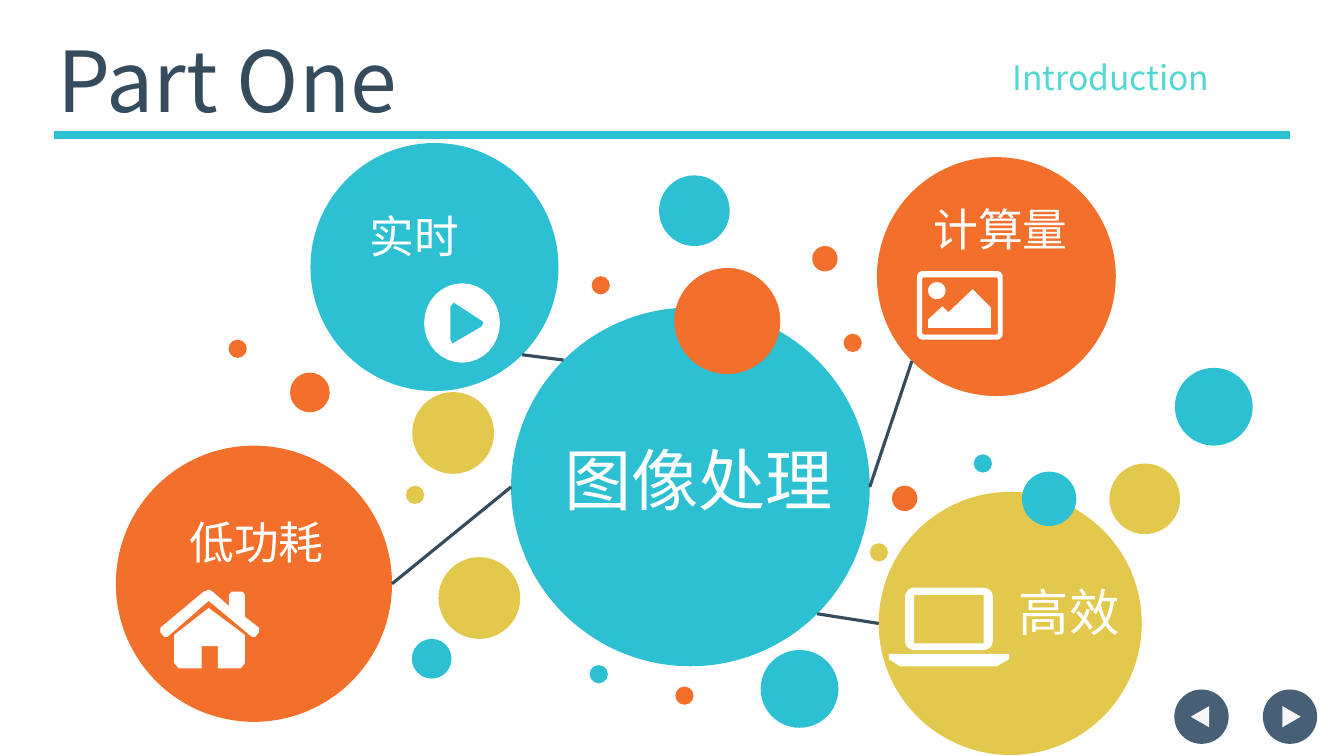
"""Build the Part One introduction slide: a hub of bubbles on image processing."""
from dataclasses import dataclass
from math import cos, pi, radians, sin

from lxml import etree
from pptx import Presentation
from pptx.dml.color import RGBColor
from pptx.enum.shapes import MSO_CONNECTOR, MSO_SHAPE
from pptx.enum.text import MSO_ANCHOR, MSO_AUTO_SIZE, PP_ALIGN
from pptx.oxml.ns import qn
from pptx.util import Cm, Pt

OVAL, TRIANGLE = MSO_SHAPE.OVAL, MSO_SHAPE.ISOSCELES_TRIANGLE
STRAIGHT = MSO_CONNECTOR.STRAIGHT
MIDDLE, NO_AUTOFIT = MSO_ANCHOR.MIDDLE, MSO_AUTO_SIZE.NONE
LEFT, RIGHT = PP_ALIGN.LEFT, PP_ALIGN.RIGHT
TITLE_ONLY = 5


@dataclass(frozen=True)
class Theme:
    """Colours, font and type sizes of the slide."""
    teal: str = "2DC0D2"
    orange: str = "F3702C"
    yellow: str = "E2C84C"
    navy: str = "354B5E"
    slate: str = "475F77"
    mint: str = "54D7D3"
    white: str = "FFFFFF"
    pale: str = "F7F7F7"
    font: str = "Noto Sans CJK SC"
    title: int = 60
    centre: int = 48
    large: int = 36
    label: int = 32
    section: int = 24
    rule: float = 6
    link: float = 2.25


THEME = Theme()
TITLE = ("Part One", (1.19, 0.58, 9.7, 2.82), THEME.title, THEME.navy, LEFT)
LABELS = [
    ("Introduction", (25.27, 1.32, 5.54, 1.27), THEME.section, THEME.mint, LEFT),
    ("图像处理", (13.97, 10.9, 7.34, 2.31), THEME.centre, THEME.white, LEFT),
    ("高效", (25.43, 14.5, 3.07, 1.8), THEME.large, THEME.white, LEFT),
    ("实时", (9.07, 5.11, 2.79, 1.63), THEME.label, THEME.white, LEFT),
    ("低功耗", (4.52, 12.83, 3.94, 1.63), THEME.label, THEME.white, LEFT),
    ("计算量", (23.22, 4.95, 3.94, 1.63), THEME.label, THEME.white, RIGHT),
]
RULE = ((1.35, 3.4), (32.51, 3.4))
HUBS = {
    "processing": (17.4, 12.27, 9.04, THEME.teal),
    "low power": (6.4, 14.71, 6.96, THEME.orange),
    "computation": (25.11, 6.97, 6.02, THEME.orange),
    "real time": (10.95, 6.73, 6.25, THEME.teal),
    "efficient": (25.46, 15.71, 6.63, THEME.yellow),
}
LINKS = [
    ("real time", 45, "processing", 225),
    ("low power", 0, "processing", 180),
    ("efficient", 180, "processing", 45),
    ("processing", 0, "computation", 135),
]
DOTS = {
    THEME.yellow: [(11.42, 10.91, 2.06), (12.08, 15.07, 2.06), (28.85, 12.57, 1.78),
                   (22.15, 13.92, 0.46), (10.46, 12.47, 0.46)],
    THEME.teal: [(10.88, 16.6, 1), (17.5, 5.31, 1.78), (26.44, 12.57, 1.37),
                 (30.59, 10.25, 1.96), (20.15, 17.36, 1.96), (15.09, 16.99, 0.46),
                 (24.77, 11.68, 0.46)],
    THEME.orange: [(22.8, 12.56, 0.64), (20.79, 6.52, 0.64), (17.25, 17.53, 0.46),
                   (15.14, 7.19, 0.46), (21.49, 8.64, 0.46), (18.33, 8.09, 2.67),
                   (5.99, 8.79, 0.46), (7.81, 9.89, 1)],
}
BUTTONS = [(32.51, 0.04, 90), (30.28, -0.04, 270)]
BUTTON_Y, BUTTON_SIZE, ARROW_SIZE = 18.06, 1.37, (0.53, 0.46)


def rounded(left, top, right, bottom, radius, steps=8):
    """Return the outline of a box whose corners are rounded by up to radius."""
    across, down = min(radius, (right - left) / 2), min(radius, (bottom - top) / 2)
    corners = [(right - across, bottom - down), (left + across, bottom - down),
               (left + across, top + down), (right - across, top + down)]
    return [(x + across * cos(angle), y + down * sin(angle))
            for quarter, (x, y) in enumerate(corners)
            for angle in ((quarter + step / steps) * pi / 2 for step in range(steps + 1))]


ICONS = {
    "house": [
        [(6.43, 16.05), (6.35, 16.05), (5.26, 15.14), (4.22, 16.05), (4.14, 16.05),
         (4.04, 15.93), (4.04, 15.82), (5.13, 14.91), (5.26, 14.86), (5.36, 14.91),
         (5.77, 15.27), (5.77, 14.99), (5.84, 14.91), (6.12, 14.91), (6.17, 14.99),
         (6.17, 15.54), (6.53, 15.82), (6.53, 15.93)],
        [(6.17, 16.71), (6.07, 16.84), (5.49, 16.84), (5.49, 16.28), (5.08, 16.28),
         (5.08, 16.84), (4.5, 16.84), (4.39, 16.71), (4.39, 16), (5.26, 15.32), (6.17, 16)],
    ],
    "play": [
        rounded(10.69, 7.14, 12.6, 9.14, 1),
        [(11.43, 7.62), (11.35, 7.72), (11.35, 8.56), (11.4, 8.66), (12.14, 8.23),
         (12.19, 8.13), (12.14, 8.08)],
    ],
    "laptop": [
        [(22.4, 16.48), (25.43, 16.48), (25.43, 16.61), (25.12, 16.79), (22.68, 16.79),
         (22.4, 16.61)],
        rounded(22.81, 14.81, 25.02, 16.38, 0.23),
        rounded(23.04, 14.99, 24.79, 16.21, 0),
    ],
    "photo": [
        rounded(23.11, 6.83, 25.27, 8.56, 0.15),
        rounded(23.24, 6.99, 25.15, 8.43, 0.05),
        rounded(23.39, 7.11, 23.83, 7.54, 0.22),
        [(24.97, 8.26), (23.39, 8.26), (23.39, 8.05), (23.75, 7.72), (23.9, 7.87),
         (24.51, 7.29), (24.97, 7.75)],
    ],
}


def paint(shape, colour):
    shape.shadow.inherit = False
    shape.fill.solid()
    shape.fill.fore_color.rgb = RGBColor.from_string(colour)
    shape.line.fill.background()


def add_centred(slide, kind, x, y, width, height, colour):
    shape = slide.shapes.add_shape(
        kind, Cm(x - width / 2), Cm(y - height / 2), Cm(width), Cm(height))
    paint(shape, colour)
    return shape


def add_line(slide, start, end, colour, width):
    line = slide.shapes.add_connector(STRAIGHT, *(Cm(value) for value in start + end))
    line.line.color.rgb = RGBColor.from_string(colour)
    line.line.width = Pt(width)
    etree.SubElement(line._element.spPr, qn("a:effectLst"))


def write(box, text, place, size, colour, alignment):
    box.left, box.top, box.width, box.height = (Cm(value) for value in place)
    frame = box.text_frame
    frame.text = text
    frame.word_wrap = False
    frame.auto_size = NO_AUTOFIT
    frame.vertical_anchor = MIDDLE
    para = frame.paragraphs[0]
    para.alignment = alignment
    span = para.runs[0]
    span.font.size = Pt(size)
    span.font.color.rgb = RGBColor.from_string(colour)
    span.font.name = THEME.font
    etree.SubElement(span.font._element, qn("a:ea"), typeface=THEME.font)


def rim_point(hub, degrees):
    x, y, size, _ = HUBS[hub]
    angle = radians(degrees)
    return x + size / 2 * cos(angle), y + size / 2 * sin(angle)


def add_icon(slide, outlines):
    contours = [[(Cm(x), Cm(y)) for x, y in outline] for outline in outlines]
    builder = slide.shapes.build_freeform(*contours[0][0], scale=1.0)
    for number, contour in enumerate(contours):
        if number:
            builder.move_to(*contour[0])
        builder.add_line_segments(contour[1:], close=True)
    paint(builder.convert_to_shape(), THEME.white)


def main():
    deck = Presentation()
    deck.slide_width, deck.slide_height = Cm(33.87), Cm(19.05)
    slide = deck.slides.add_slide(deck.slide_layouts[TITLE_ONLY])
    write(slide.shapes.title, *TITLE)
    for x, shift, turn in BUTTONS:
        add_centred(slide, OVAL, x, BUTTON_Y, BUTTON_SIZE, BUTTON_SIZE, THEME.slate)
        arrow = add_centred(slide, TRIANGLE, x + shift, BUTTON_Y, *ARROW_SIZE, THEME.pale)
        arrow.rotation = turn
    add_line(slide, *RULE, THEME.teal, THEME.rule)
    for x, y, size, colour in HUBS.values():
        add_centred(slide, OVAL, x, y, size, size, colour)
    for first, leaving, second, arriving in LINKS:
        add_line(slide, rim_point(first, leaving), rim_point(second, arriving),
                 THEME.navy, THEME.link)
    for colour, dots in DOTS.items():
        for x, y, size in dots:
            add_centred(slide, OVAL, x, y, size, size, colour)
    for label in LABELS:
        write(slide.shapes.add_textbox(0, 0, 0, 0), *label)
    for outlines in ICONS.values():
        add_icon(slide, outlines)
    deck.save("out.pptx")


if __name__ == "__main__":
    main()
